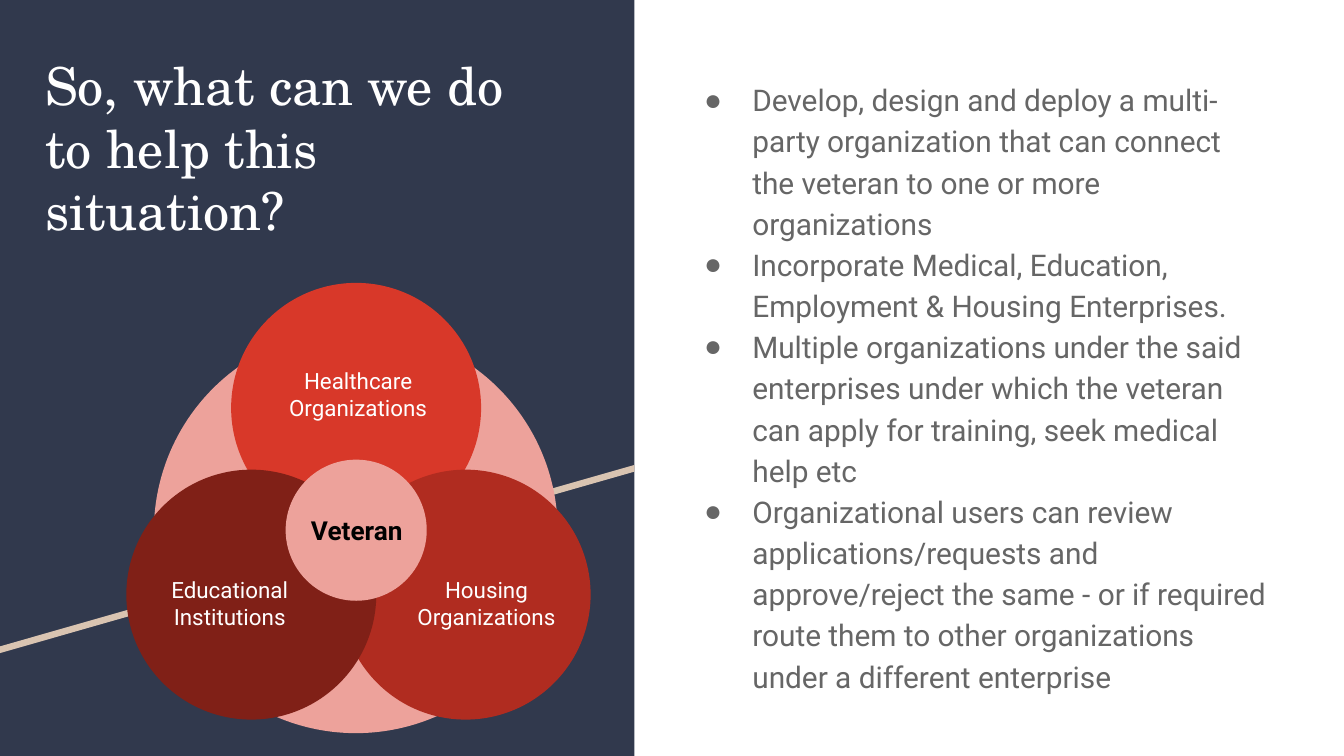
from dataclasses import dataclass

from lxml import etree
from pptx import Presentation
from pptx import util as u
from pptx.dml.color import RGBColor
from pptx.enum import shapes, text
from pptx.oxml import ns

PX = 4572


@dataclass(frozen=True)
class Theme:
    """Colours, fonts and type sizes of the deck."""

    navy: str = "31394D"
    sand: str = "D9C4B1"
    white: str = "FFFFFF"
    black: str = "000000"
    grey: str = "666666"
    pink: str = "EDA29B"
    red: str = "D83829"
    brick: str = "B02C20"
    maroon: str = "802017"
    heading_font: str = "TeX Gyre Schola"
    body_font: str = "Roboto"
    bullet_font: str = "Arial"
    title_size: int = 28
    body_size: int = 16
    hub_size: int = 14
    label_size: int = 12


THEME = Theme()

TITLE = "So, what can we do to help this situation?"
BULLETS = [
    "Develop, design and deploy a multi-party organization that can connect the veteran to one or more organizations",
    "Incorporate Medical, Education, Employment & Housing Enterprises.",
    "Multiple organizations under the said enterprises under which the veteran can apply for training, seek medical help etc",
    "Organizational users can review applications/requests and approve/reject the same - or if required route them to other organizations under a different enterprise",
]


def place(shape, left, top, width, height):
    """Move and size a shape in px."""
    shape.left, shape.top = left * PX, top * PX
    shape.width, shape.height = width * PX, height * PX


def paint(shape, color):
    """Give a shape a flat fill without line or shadow."""
    shape.shadow.inherit = False
    shape.fill.solid()
    shape.fill.fore_color.rgb = RGBColor.from_string(color)
    shape.line.fill.background()


def prepare_frame(shape, anchor):
    """Set wrapping, insets and anchor, and return the text frame."""
    frame = shape.text_frame
    frame.word_wrap = True
    frame.auto_size = text.MSO_AUTO_SIZE.NONE
    frame.vertical_anchor = anchor
    frame.margin_left = frame.margin_right = 20 * PX
    frame.margin_top = frame.margin_bottom = 20 * PX
    return frame


def write(frame, lines, font, size, color, align=text.PP_ALIGN.LEFT, bold=False, spacing=1.0):
    """Write one paragraph per line in a single style."""
    for index, line in enumerate(lines):
        paragraph = frame.add_paragraph() if index else frame.paragraphs[0]
        paragraph.alignment = align
        paragraph.line_spacing = spacing
        paragraph.space_before = u.Pt(0)
        run = paragraph.add_run()
        run.text = line
        run.font.name, run.font.size, run.font.bold = font, u.Pt(size), bold
        run.font.color.rgb = RGBColor.from_string(color)


def add_bullet(paragraph, color, font):
    """Give a paragraph a round bullet with a hanging indent."""
    properties = paragraph._p.get_or_add_pPr()
    properties.set("marL", str(100 * PX))
    properties.set("indent", str(-72 * PX))
    bullet_color = etree.SubElement(properties, ns.qn("a:buClr"))
    etree.SubElement(bullet_color, ns.qn("a:srgbClr"), val=color)
    etree.SubElement(properties, ns.qn("a:buFont"), typeface=font)
    etree.SubElement(properties, ns.qn("a:buChar"), char="●")


def add_circle(slide, left, top, diameter, color):
    """Draw a filled circle."""
    shape = slide.shapes.add_shape(shapes.MSO_SHAPE.OVAL, 0, 0, 0, 0)
    place(shape, left, top, diameter, diameter)
    paint(shape, color)


def add_label(slide, left, top, lines, size, color, bold=False):
    """Write a centred circle label."""
    box = slide.shapes.add_textbox(0, 0, 0, 0)
    place(box, left, top, 256, 120)
    frame = prepare_frame(box, text.MSO_ANCHOR.MIDDLE)
    write(frame, lines, THEME.body_font, size, color, text.PP_ALIGN.CENTER, bold)


def add_panel(slide, left, top, width, height):
    """Draw the dark panel with its slanted stripe."""
    panel = slide.shapes.add_shape(shapes.MSO_SHAPE.RECTANGLE, 0, 0, 0, 0)
    place(panel, left, top, width, height)
    paint(panel, THEME.navy)
    right, low, high, thickness = left + width, top + 962, top + 692, 10
    builder = slide.shapes.build_freeform(left, low, scale=PX)
    builder.add_line_segments([(right, high), (right, high + thickness), (left, low + thickness)])
    paint(builder.convert_to_shape(), THEME.sand)


def add_title(slide, left, top, width, height):
    """Place the title in front of the panel."""
    title = slide.shapes.title
    title.element.getparent().append(title.element)
    place(title, left, top, width, height)
    frame = prepare_frame(title, text.MSO_ANCHOR.TOP)
    write(frame, [TITLE], THEME.heading_font, THEME.title_size, THEME.white)


def add_diagram(slide, left, top):
    """Draw the organizations around the veteran."""
    add_circle(slide, left + 40, top + 69, 601, THEME.pink)
    organizations = [
        (155, 0, THEME.red, 216, 106, ["Healthcare", "Organizations"]),
        (318, 278, THEME.brick, 407, 416, ["Housing Organizations"]),
        (-1, 278, THEME.maroon, 25, 416, ["Educational", "Institutions"]),
    ]
    for x, y, color, label_x, label_y, lines in organizations:
        add_circle(slide, left + x, top + y, 372, color)
        add_label(slide, left + label_x, top + label_y, lines, THEME.label_size, THEME.white)
    add_circle(slide, left + 236, top + 263, 210, THEME.pink)
    add_label(slide, left + 214, top + 308, ["Veteran"], THEME.hub_size, THEME.black, bold=True)


def add_bullets(slide, left, top, width, height):
    """Write the bulleted list."""
    box = slide.shapes.add_textbox(0, 0, 0, 0)
    place(box, left, top, width, height)
    frame = prepare_frame(box, text.MSO_ANCHOR.TOP)
    write(frame, BULLETS, THEME.body_font, THEME.body_size, THEME.grey, spacing=1.15)
    for paragraph in frame.paragraphs:
        add_bullet(paragraph, THEME.grey, THEME.bullet_font)


def main():
    """Build and save the presentation."""
    presentation = Presentation()
    presentation.slide_width, presentation.slide_height = 2000 * PX, 1125 * PX
    slide = presentation.slides.add_slide(presentation.slide_layouts[5])
    add_panel(slide, 0, 0, 944, 1125)
    add_title(slide, 47, 59, 810, 322)
    add_bullets(slide, 1000, 94, 908, 720)
    add_diagram(slide, 189, 421)
    presentation.save("out.pptx")


if __name__ == "__main__":
    main()
